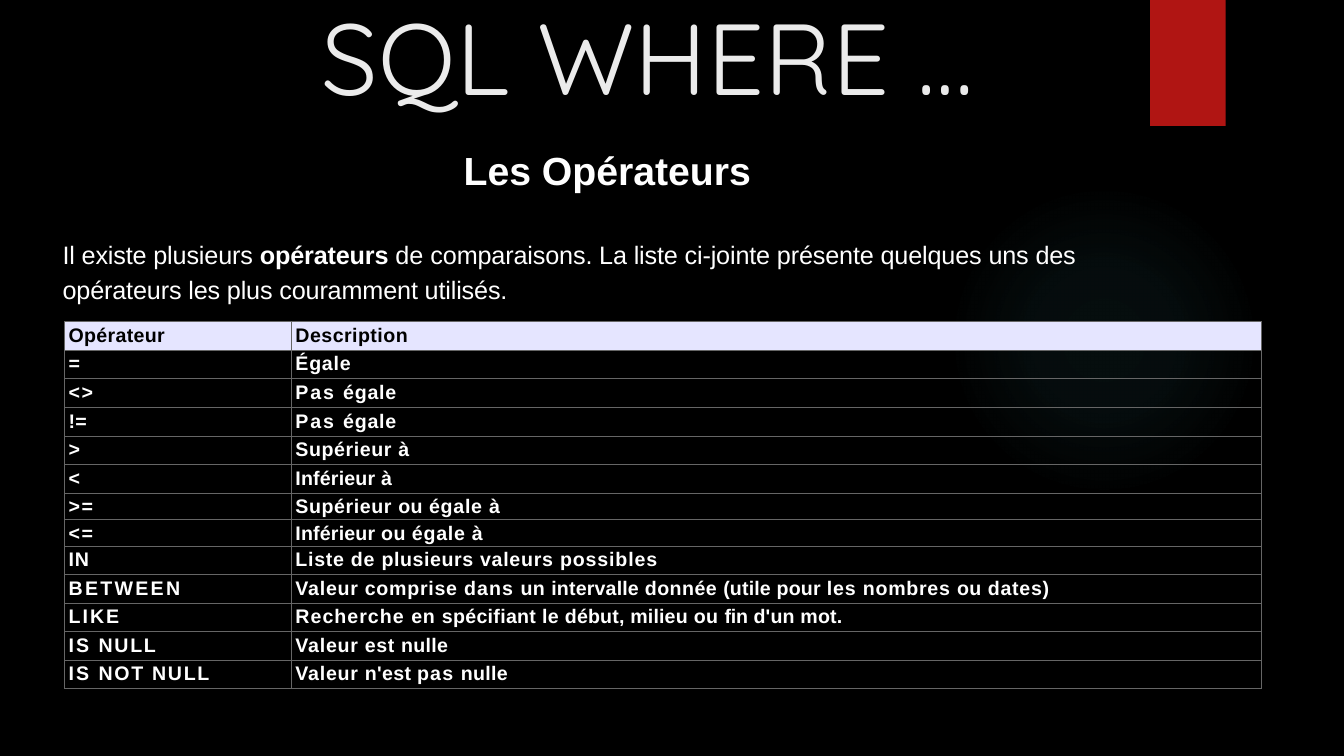
from pptx import Presentation
from pptx.dml.color import RGBColor
from pptx.enum.shapes import MSO_SHAPE
from pptx.enum.text import MSO_ANCHOR, PP_ALIGN
from pptx.oxml import parse_xml
from pptx.oxml.ns import nsdecls
from pptx.util import Pt

COLORS = {
    "background": "000000",
    "glow": "50B9C1",
    "ribbon": "B01513",
    "title": "EBEBEB",
    "text": "FFFFFF",
    "header_text": "000000",
    "header_fill": "E5E5FF",
    "border": "666666",
}

TITLE_FORMAT = {"name": "Quicksand", "size": Pt(72), "bold": False}
SUBTITLE_FORMAT = {"name": "Arial", "size": Pt(28), "bold": True}
INTRO_FORMAT = {"name": "Arial", "size": Pt(18), "bold": False}
TABLE_FORMAT = {"name": "Arial", "size": Pt(14), "bold": True}

# Each cell is a list of (text, letter spacing in points)
OPERATORS = [
    ([("Opérateur", 0.2)], [("Description", 0.3)]),
    ([("=", 0)], [("Égale", 0.5)]),
    ([("<>", 1)], [("Pas ", 1.3), ("égale", 0.5)]),
    ([("!=", 0.2)], [("Pas ", 1.3), ("égale", 0.5)]),
    ([(">", 0)], [("Supérieur ", 0.4), ("à", -0.1)]),
    ([("<", 0)], [("Inférieur ", 0.1), ("à", -0.1)]),
    ([(">=", 1)], [("Supérieur ", 0.4), ("ou ", 0.3), ("égale ", 0.5), ("à", -0.1)]),
    ([("<=", 1)], [("Inférieur ", 0.1), ("ou ", 0.3), ("égale ", 0.5), ("à", -0.1)]),
    ([("IN", 0.6)],
     [("Liste de ", 0.5), ("plusieurs ", 0.4), ("valeurs ", 0.5), ("possibles", 0.6)]),
    ([("BETWEEN", 1.6)],
     [("Valeur comprise ", 0.5), ("dans ", 0.7), ("un ", 0.3), ("intervalle ", 0.1),
      ("donnée ", 0.3), ("(utile pour ", 0.1), ("les ", 0.6), ("nombres ", 0.5),
      ("ou ", 0.3), ("dates)", 0.5)]),
    ([("LIKE", 1.4)],
     [("Recherche ", 0.7), ("en ", 0.5), ("spécifiant le ", 0.2), ("début, milieu ", 0.1),
      ("ou ", 0.3), ("fin ", -0.1), ("d'un mot.", 0.1)]),
    ([("IS ", 1.4), ("NULL", 1.2)], [("Valeur ", 0.5), ("est ", 0.4), ("nulle", 0.2)]),
    ([("IS ", 1.4), ("NOT NULL", 1.2)],
     [("Valeur ", 0.5), ("n'est ", 0.2), ("pas ", 0.8), ("nulle", 0.2)]),
]
COMPACT_ROWS = {6, 7}


def color(name):
    return RGBColor.from_string(COLORS[name])


def add_run(paragraph, text, formats, color_name, spacing=0):
    run = paragraph.add_run()
    run.text = text
    for attribute, value in formats.items():
        setattr(run.font, attribute, value)
    run.font.color.rgb = color(color_name)
    if spacing:
        run.font._element.set("spc", str(round(spacing * 100)))
    return run


def add_text_frame(slide, box, settings):
    frame = slide.shapes.add_textbox(*map(Pt, box)).text_frame
    frame.word_wrap = True
    for attribute, value in settings.items():
        setattr(frame, attribute, value)
    return frame


def add_plain_shape(slide, kind, box):
    shape = slide.shapes.add_shape(kind, *map(Pt, box))
    shape.shadow.inherit = False
    shape.line.fill.background()
    return shape


def add_glow(slide, box):
    glow = add_plain_shape(slide, MSO_SHAPE.OVAL, box)
    stops = "".join(
        f'<a:gs pos="{position * 1000}"><a:srgbClr val="{COLORS["glow"]}">'
        f'<a:alpha val="{alpha * 1000}"/></a:srgbClr></a:gs>'
        for position, alpha in [(0, 7), (36, 6), (69, 0), (100, 0)])
    gradient = parse_xml(
        f'<a:gradFill {nsdecls("a")} rotWithShape="1"><a:gsLst>{stops}</a:gsLst>'
        '<a:path path="circle"><a:fillToRect l="50000" t="50000" r="50000" b="50000"/>'
        '</a:path></a:gradFill>')
    glow._element.spPr.find("{*}prstGeom").addnext(gradient)


def add_ribbon(slide, box):
    ribbon = add_plain_shape(slide, MSO_SHAPE.RECTANGLE, box)
    ribbon.fill.solid()
    ribbon.fill.fore_color.rgb = color("ribbon")


def add_heading(slide, box, text, formats, color_name, settings):
    paragraph = add_text_frame(slide, box, settings).paragraphs[0]
    paragraph.alignment = PP_ALIGN.CENTER
    add_run(paragraph, text, formats, color_name)


def add_introduction(slide, box):
    settings = {"margin_top": Pt(6), "margin_left": Pt(8), "margin_right": Pt(65)}
    paragraph = add_text_frame(slide, box, settings).paragraphs[0]
    paragraph.line_spacing = 1.15
    add_run(paragraph, "Il existe plusieurs ", INTRO_FORMAT, "text", -0.1)
    add_run(paragraph, "opérateurs ", {**INTRO_FORMAT, "bold": True}, "text", -0.1)
    add_run(paragraph, "de ", INTRO_FORMAT, "text")
    add_run(paragraph, "comparaisons. La liste ci-jointe présente quelques uns des "
            "opérateurs les plus couramment utilisés.", INTRO_FORMAT, "text", -0.1)


def add_borders(cell):
    properties = cell._tc.get_or_add_tcPr()
    for index, side in enumerate(("lnL", "lnR", "lnT", "lnB")):
        properties.insert(index, parse_xml(
            f'<a:{side} {nsdecls("a")} w="{Pt(0.25)}"><a:solidFill>'
            f'<a:srgbClr val="{COLORS["border"]}"/></a:solidFill></a:{side}>'))


def fill_cell(cell, pieces, is_header):
    margins = {"margin_left": Pt(3), "margin_top": Pt(2.16),
               "margin_right": 0, "margin_bottom": 0}
    for attribute, value in margins.items():
        setattr(cell, attribute, value)
    if is_header:
        cell.fill.solid()
        cell.fill.fore_color.rgb = color("header_fill")
    else:
        cell.fill.background()
    add_borders(cell)
    for text, spacing in pieces:
        add_run(cell.text_frame.paragraphs[0], text, TABLE_FORMAT,
                "header_text" if is_header else "text", spacing)


def add_operator_table(slide, box):
    left, top, width, height = box
    table = slide.shapes.add_table(len(OPERATORS), 2, *map(Pt, box)).table
    table.first_row = table.horz_banding = False
    operator_width, compact_height = 162, 18.95
    table.columns[0].width = Pt(operator_width)
    table.columns[1].width = Pt(width - operator_width)
    row_height = ((height - len(COMPACT_ROWS) * compact_height)
                  / (len(OPERATORS) - len(COMPACT_ROWS)))
    for row, cells in enumerate(OPERATORS):
        table.rows[row].height = Pt(compact_height if row in COMPACT_ROWS else row_height)
        for column, pieces in enumerate(cells):
            fill_cell(table.cell(row, column), pieces, row == 0)


def build_operators_slide(presentation):
    slide = presentation.slides.add_slide(presentation.slide_layouts[6])
    slide.background.fill.solid()
    slide.background.fill.fore_color.rgb = color("background")
    # Decoration
    add_glow(slide, (677.5, 131.8, 221.8, 221.8))
    add_ribbon(slide, (821.5, 0, 54, 90))
    # Introduction and headings
    add_introduction(slide, (36.7, 162, 873.4, 55.4))
    add_heading(slide, (24.5, 98.6, 818.6, 41), "Les Opérateurs", SUBTITLE_FORMAT,
                "text", {"margin_top": Pt(6)})
    add_heading(slide, (105.8, 15.1, 713.5, 67.7), "SQL WHERE …", TITLE_FORMAT, "title",
                {"vertical_anchor": MSO_ANCHOR.BOTTOM, "margin_bottom": 0})
    # Operators
    add_operator_table(slide, (46.1, 229.7, 854.6, 262.2))


def main():
    presentation = Presentation()
    presentation.slide_width = Pt(960)
    presentation.slide_height = Pt(540)
    build_operators_slide(presentation)
    presentation.save("out.pptx")


if __name__ == "__main__":
    main()
